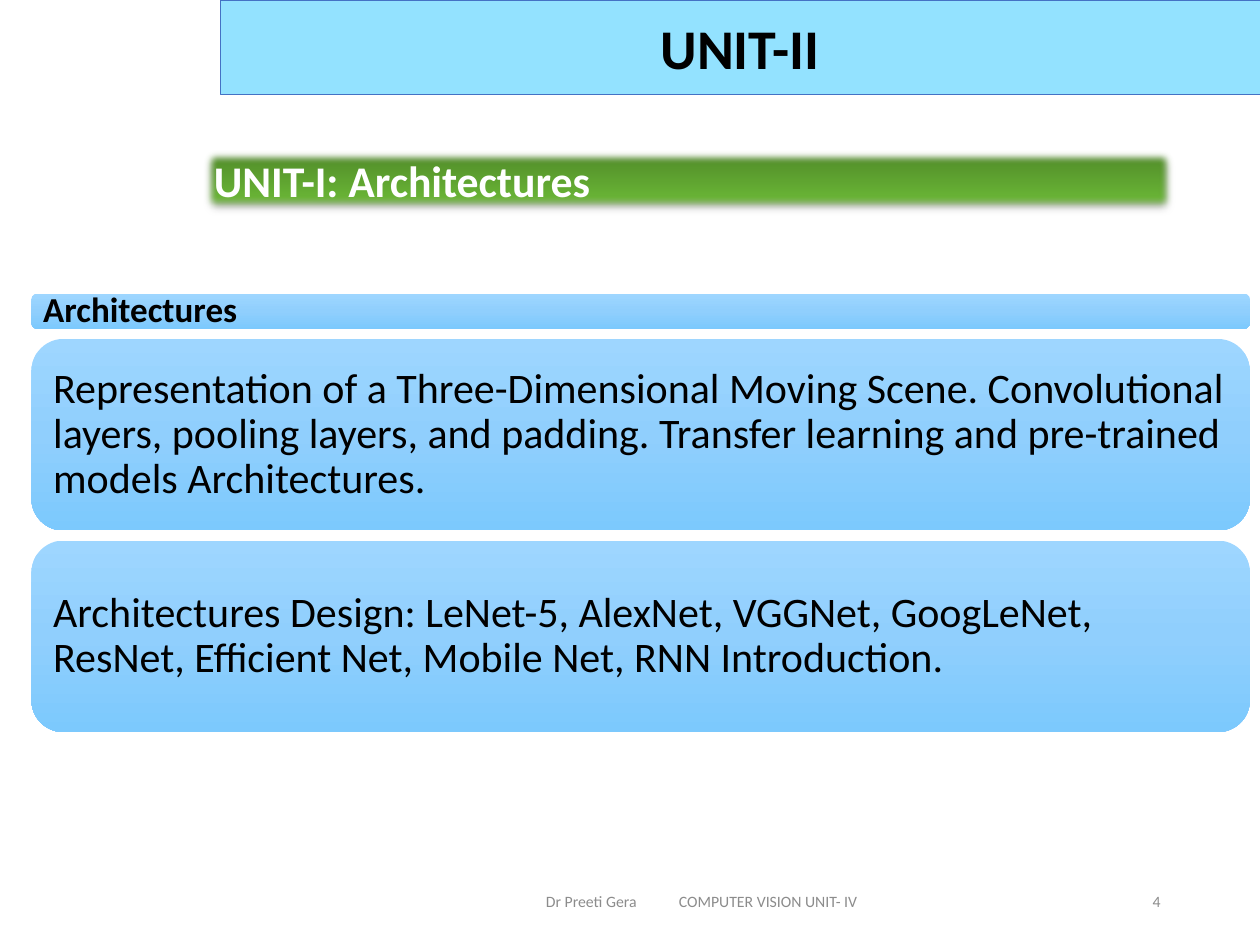
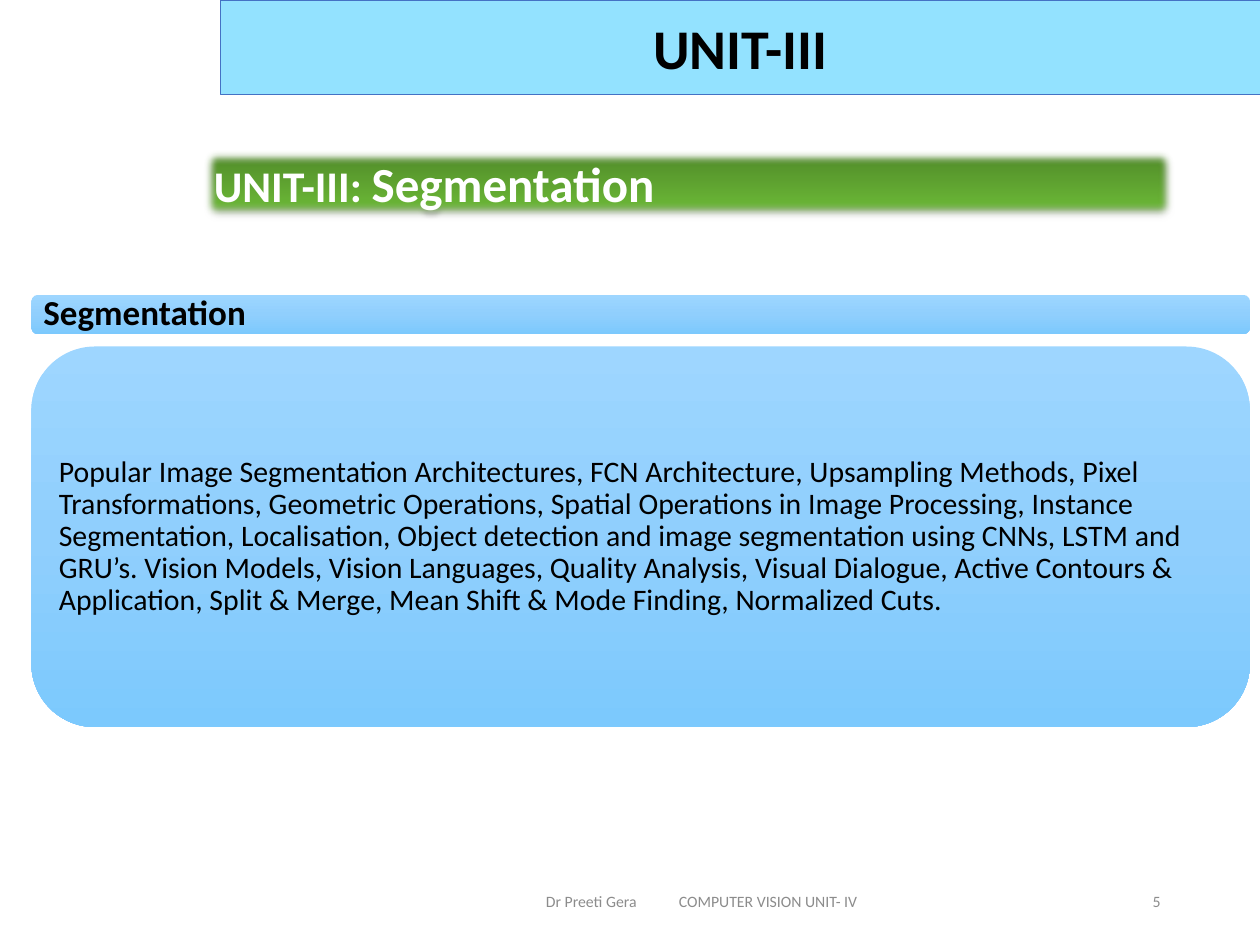
from pptx import Presentation
from pptx.dml.color import RGBColor
from pptx.enum.shapes import MSO_SHAPE
from pptx.enum.text import MSO_ANCHOR, PP_ALIGN
from pptx.oxml import parse_xml
from pptx.oxml.ns import nsdecls
from pptx.util import Inches, Pt

RECTANGLE, ROUNDED = MSO_SHAPE.RECTANGLE, MSO_SHAPE.ROUNDED_RECTANGLE
LEFT, CENTER, RIGHT = PP_ALIGN.LEFT, PP_ALIGN.CENTER, PP_ALIGN.RIGHT
TOP, MIDDLE = MSO_ANCHOR.TOP, MSO_ANCHOR.MIDDLE

FONT = "Calibri"
COLORS = {
    "band": "93E2FF", "band_line": "4472C4", "text": "000000",
    "banner_text": "FFFFFF", "footer": "8C8C8C", "shadow": "000000",
    "green_dark": "4D8527", "green_mid": "6AB636", "green_light": "6ABA34",
    "blue_light": "9ED6FF", "blue_mid": "90CFFD", "blue_deep": "7CC9FD",
}
GREEN_STOPS = [(0, "green_dark"), (80, "green_mid"), (100, "green_light")]
BLUE_STOPS = [(0, "blue_light"), (50, "blue_mid"), (100, "blue_deep")]

TITLE_BOX = (1.75, 0, 8.25, 0.75)
CARD_LEFT, CARD_WIDTH = 0.25, 9.67
FOOTER_TOP, FOOTER_HEIGHT = 6.95, 0.4

UNITS = [
    {
        "title": "UNIT-II",
        "banner": [("UNIT-I: ", 25), ("Architectures", 25)],
        "banner_height": 0.52,
        "heading": "Architectures",
        "top": 2.33, "heading_height": 0.28, "gap": 0.08,
        "card_height": 1.52, "size": 24, "inset": 0.1,
        "cards": [
            "Representation of a Three-Dimensional Moving Scene. Convolutional "
            "layers, pooling layers, and padding. Transfer learning and "
            "pre-trained models Architectures.",
            "Architectures Design: LeNet-5, AlexNet, VGGNet, GoogLeNet, ResNet, "
            "Efficient Net, Mobile Net, RNN Introduction.",
        ],
        "number": 4,
    },
    {
        "title": "UNIT-III",
        "banner": [("UNIT-III: ", 25), ("Segmentation", 28)],
        "banner_height": 0.57,
        "heading": "Segmentation",
        "top": 2.34, "heading_height": 0.31, "gap": 0.1,
        "card_height": 3.02, "size": 17, "inset": 0.07,
        "cards": [
            "Popular Image Segmentation Architectures, FCN Architecture, "
            "Upsampling Methods, Pixel Transformations, Geometric Operations, "
            "Spatial Operations in Image Processing, Instance Segmentation, "
            "Localisation, Object detection and image segmentation using CNNs, "
            "LSTM and GRU’s. Vision Models, Vision Languages, Quality Analysis, "
            "Visual Dialogue, Active Contours & Application, Split & Merge, "
            "Mean Shift & Mode Finding, Normalized Cuts.",
        ],
        "number": 5,
    },
]


def write_text(shape, runs, color="text", bold=False, align=LEFT, anchor=MIDDLE,
               inset=None, line_spacing=None):
    frame = shape.text_frame
    frame.word_wrap = True
    frame.vertical_anchor = anchor
    if inset is not None:
        frame.margin_left = frame.margin_right = Inches(inset)
        frame.margin_top = frame.margin_bottom = Inches(inset)
    paragraph = frame.paragraphs[0]
    paragraph.alignment = align
    if line_spacing:
        paragraph.line_spacing = line_spacing
    for text, size in runs:
        run = paragraph.add_run()
        run.text = text
        run.font.name = FONT
        run.font.size = Pt(size)
        run.font.bold = bold
        run.font.color.rgb = RGBColor.from_string(COLORS[color])


def add_box(slide, kind, box):
    shape = slide.shapes.add_shape(kind, *map(Inches, box))
    shape.shadow.inherit = False
    shape.line.fill.background()
    return shape


def fill_gradient(shape, stops):
    stop_xml = "".join(
        f'<a:gs pos="{position * 1000}"><a:srgbClr val="{COLORS[name]}"/></a:gs>'
        for position, name in stops)
    properties = shape._element.spPr
    properties.insert(2, parse_xml(
        f'<a:gradFill {nsdecls("a")} rotWithShape="1"><a:gsLst>{stop_xml}</a:gsLst>'
        '<a:lin ang="5400000" scaled="0"/></a:gradFill>'))


def soften(shape):
    properties = shape._element.spPr
    properties.remove(properties.find(
        "{http://schemas.openxmlformats.org/drawingml/2006/main}effectLst"))
    properties.append(parse_xml(
        f'<a:effectLst {nsdecls("a")}>'
        f'<a:outerShdw blurRad="{Pt(3.1)}" dist="{Pt(1.8)}" dir="5400000" rotWithShape="0">'
        f'<a:srgbClr val="{COLORS["shadow"]}"><a:alpha val="35000"/></a:srgbClr>'
        f'</a:outerShdw><a:softEdge rad="{Pt(5)}"/></a:effectLst>'))


def add_title_band(slide, box, title):
    band = add_box(slide, RECTANGLE, box)
    band.fill.solid()
    band.fill.fore_color.rgb = RGBColor.from_string(COLORS["band"])
    band.line.color.rgb = RGBColor.from_string(COLORS["band_line"])
    band.line.width = Pt(0.5)
    write_text(band, [(title, 32)], bold=True, align=CENTER)


def add_banner(slide, box, runs):
    banner = add_box(slide, RECTANGLE, box)
    fill_gradient(banner, GREEN_STOPS)
    soften(banner)
    write_text(banner, runs, color="banner_text", bold=True, anchor=TOP)


def add_card(slide, box, text, size, inset, bold=False):
    card = add_box(slide, ROUNDED, box)
    fill_gradient(card, BLUE_STOPS)
    write_text(card, [(text, size)], bold=bold, inset=inset, line_spacing=0.9)


def add_topic_list(slide, left, top, width, unit):
    add_card(slide, (left, top, width, unit["heading_height"]),
             unit["heading"], 20, 0.08, bold=True)
    first_top = top + unit["heading_height"] + unit["gap"]
    step = unit["card_height"] + unit["gap"]
    for index, text in enumerate(unit["cards"]):
        box = (left, first_top + index * step, width, unit["card_height"])
        add_card(slide, box, text, unit["size"], unit["inset"])


def add_footer(slide, top, height, number):
    parts = [
        ("Dr Preeti Gera", 3.17, 1.98, RIGHT),
        ("COMPUTER VISION UNIT- IV", 5.29, 1.9, LEFT),
        (str(number), 7.06, 2.25, RIGHT),
    ]
    for text, left, width, align in parts:
        label = slide.shapes.add_textbox(*map(Inches, (left, top, width, height)))
        write_text(label, [(text, 9)], color="footer", align=align)


def add_unit_slide(presentation, unit):
    slide = presentation.slides.add_slide(presentation.slide_layouts[6])
    add_footer(slide, FOOTER_TOP, FOOTER_HEIGHT, unit["number"])
    add_title_band(slide, TITLE_BOX, unit["title"])
    add_banner(slide, (1.6, 1.17, 7.73, unit["banner_height"]), unit["banner"])
    add_topic_list(slide, CARD_LEFT, unit["top"], CARD_WIDTH, unit)


def main():
    presentation = Presentation()
    presentation.slide_width = Inches(10)
    presentation.slide_height = Inches(7.5)
    for unit in UNITS:
        add_unit_slide(presentation, unit)
    presentation.save("out.pptx")


if __name__ == "__main__":
    main()
